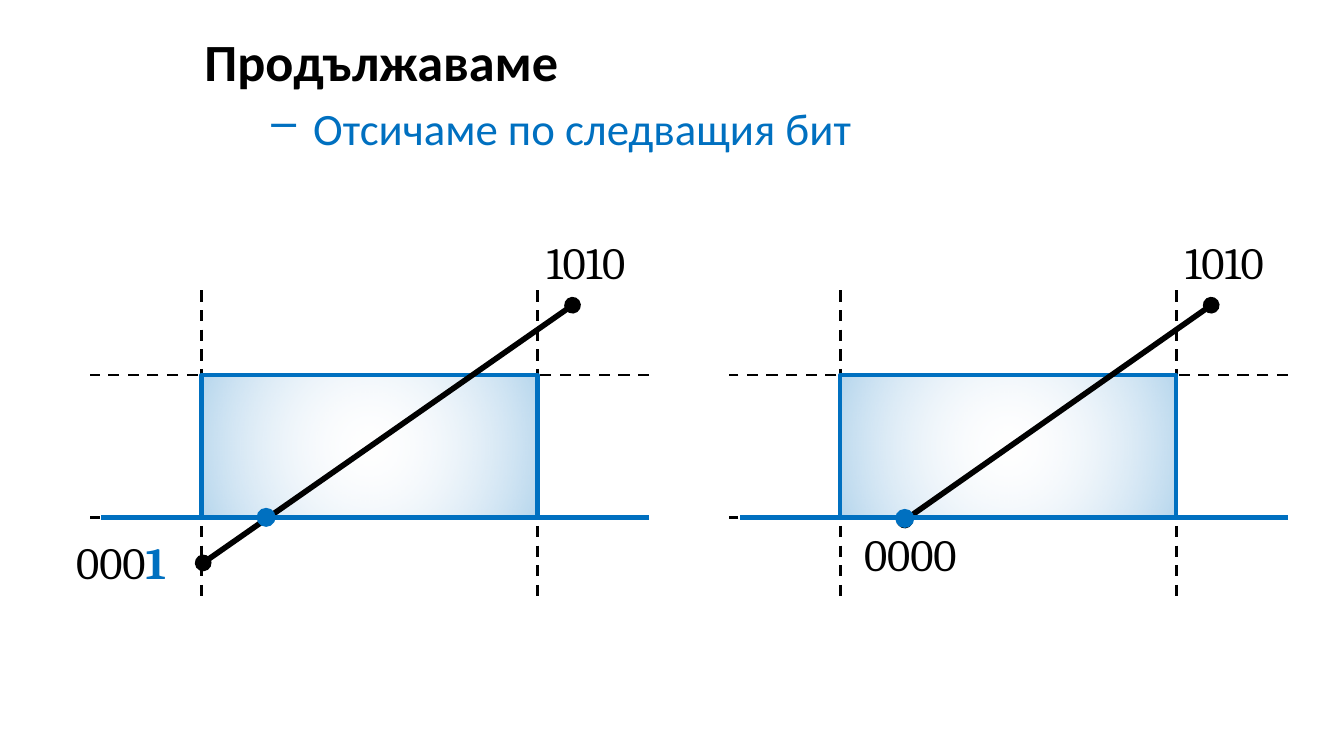
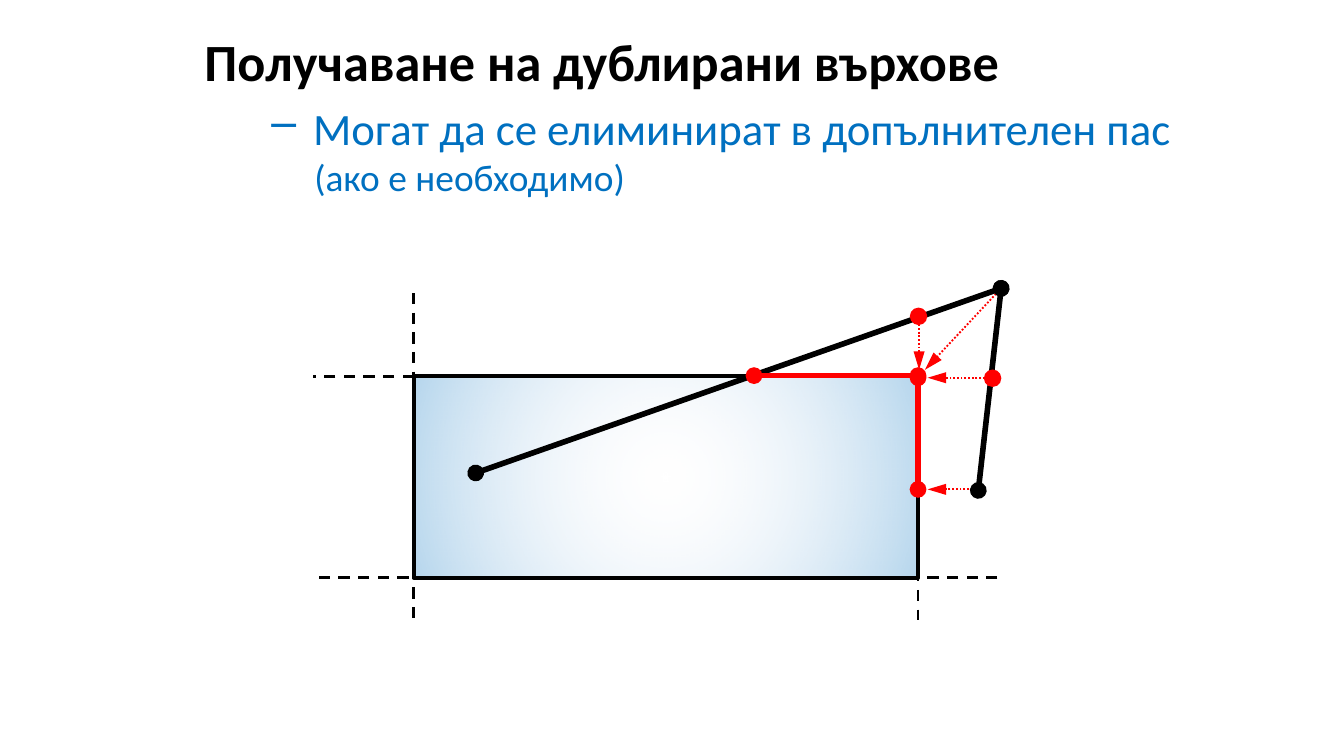
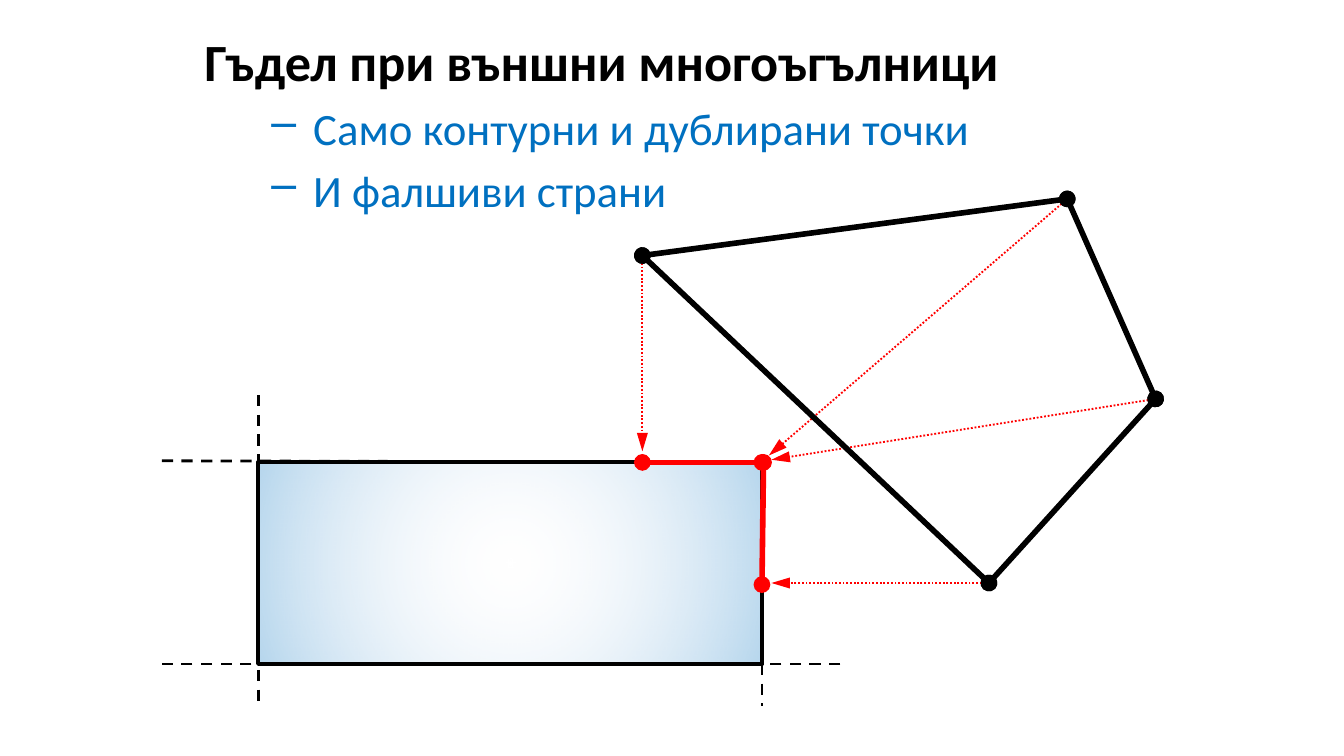
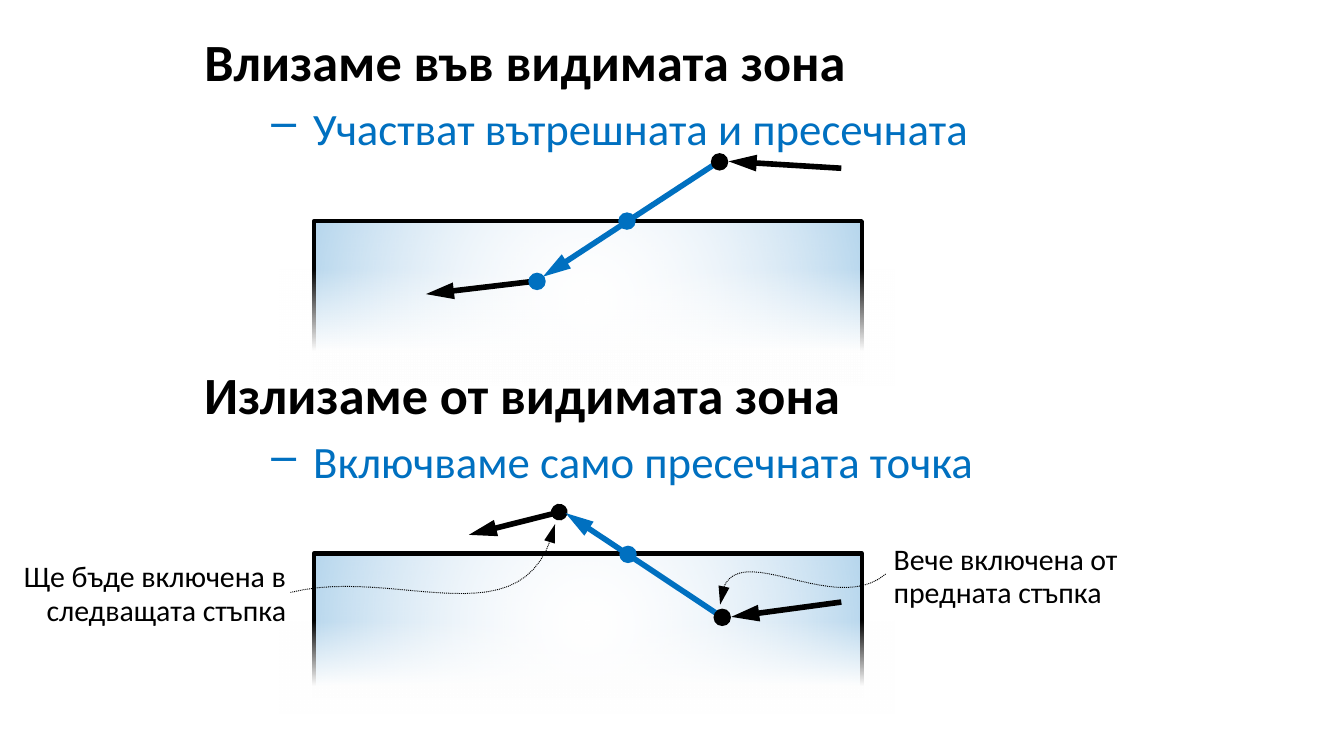
import itertools

import pptx
import pptx.dml.color
import pptx.enum.dml
import pptx.enum.shapes
import pptx.enum.text
import pptx.oxml
import pptx.oxml.ns
import pptx.util

Cm = pptx.util.Cm
Pt = pptx.util.Pt
RGB = pptx.dml.color.RGBColor
Dash = pptx.enum.dml.MSO_LINE
Shape = pptx.enum.shapes.MSO_SHAPE
Align = pptx.enum.text.PP_ALIGN

BLACK = RGB(0x00, 0x00, 0x00)
BLUE = RGB(0x00, 0x70, 0xC0)
RED = RGB(0xFF, 0x00, 0x00)
WHITE = RGB(0xFF, 0xFF, 0xFF)
PALE = RGB(0xE1, 0xE8, 0xF5)

BODY, DIGITS = "Calibri", "Cambria"
LEFT, TOP, WIDE = 3.61, 0.43, 21.79
DROP = 1.34  # from the top of a heading to the top of its bullets
STEP = 12.07  # between the two scenes of the first slide
GLOW = [(0, PALE, 0), (100, BLUE, 29)]
FADE = [(25, WHITE, 100), (85, WHITE, 0)]
ROUND = '<a:path path="circle"><a:fillToRect l="50000" t="50000" r="50000" b="50000"/></a:path>'
PLAIN = '<a:lin ang="0" scaled="0"/>'


def node(tag, inner="", **attrs):
    words = "".join(f' {key}="{val}"' for key, val in attrs.items())
    names = pptx.oxml.ns.nsdecls("a")
    return pptx.oxml.parse_xml(f"<a:{tag} {names}{words}>{inner}</a:{tag}>")


def write(frame, words, font=BODY, size=24, color=BLACK, bold=False, align=None,
          mark=None, indent=0, hang=0, gap=0, pitch=None, join=False):
    """Write one paragraph, or with join add a run to the last one."""
    par = frame.paragraphs[-1]
    if not join:
        if par.runs:
            par = frame.add_paragraph()
        props = par._p.get_or_add_pPr()
        props.set("marL", str(Cm(indent)))
        props.set("indent", str(-Cm(hang)))
        if mark:
            props.append(node("buChar", char=mark))
        par.alignment = align
        par.space_before = Pt(gap)
        if pitch:
            par.line_spacing = Pt(pitch)
    run = par.add_run()
    run.text = words
    run.font.name = font
    run.font.size = Pt(size)
    run.font.bold = bold
    run.font.color.rgb = color


def area(slide, left, top, wide, high, wrap=True):
    frame = slide.shapes.add_textbox(Cm(left), Cm(top), Cm(wide), Cm(high)).text_frame
    frame.word_wrap = wrap
    return frame


def label(slide, left, top, words):
    frame = area(slide, left, top, 2.41, 1.27, wrap=False)
    write(frame, words, font=DIGITS)
    return frame


def note(slide, left, top, words, align=None):
    write(area(slide, left, top, 5.46, 1.57), words, size=16, pitch=18, align=align)


def points(slide, items, top=TOP):
    """Write the dashed list that belongs to a heading at top."""
    frame = area(slide, LEFT, top + DROP, WIDE, 1.2 * len(items))
    for num, words in enumerate(items):
        write(frame, words, color=BLUE, mark="–", indent=2.06, hang=0.79,
              gap=4.5 if num else 0)
    return frame


def start(deck, words):
    slide = deck.slides.add_slide(deck.slide_layouts[5])
    title = slide.shapes.title
    title.left, title.top, title.width, title.height = Cm(LEFT), Cm(TOP), Cm(WIDE), Cm(DROP)
    frame = title.text_frame
    frame.vertical_anchor = pptx.enum.text.MSO_ANCHOR.TOP
    frame.auto_size = pptx.enum.text.MSO_AUTO_SIZE.NONE
    frame.word_wrap = True
    write(frame, words, size=28, bold=True, align=Align.LEFT)
    return slide


def stroke(item, color, width, dash=None, head=None, tail=None):
    item.line.color.rgb = color
    item.line.width = Pt(width)
    if dash:
        item.line.dash_style = dash
    line = item.element.spPr.find(pptx.oxml.ns.qn("a:ln"))
    for tag, kind in (("headEnd", head), ("tailEnd", tail)):
        if kind:
            size = "lg" if kind == "triangle" else "med"
            line.append(node(tag, type=kind, w="med", len=size))


def link(slide, begin, end, color=BLACK, width=3, **ends):
    straight = pptx.enum.shapes.MSO_CONNECTOR.STRAIGHT
    item = slide.shapes.add_connector(straight, *map(Cm, begin + end))
    stroke(item, color, width, **ends)
    item.element.spPr.append(node("effectLst"))


def guide(slide, begin, end):
    link(slide, begin, end, width=1.5, dash=Dash.DASH)


def side(slide, begin, end, color=BLACK):
    link(slide, begin, end, color, head="oval", tail="oval")


def pull(slide, begin, end):
    """Draw the dotted arrow from a vertex to its place on the window."""
    link(slide, begin, end, RED, 1, dash=Dash.ROUND_DOT, tail="triangle")


def arrow(slide, begin, end, color=BLACK, head=None):
    link(slide, begin, end, color, head=head, tail="triangle")


def dot(slide, spot, color, size=0.33):
    left, top = (val - size / 2 for val in spot)
    item = slide.shapes.add_shape(Shape.OVAL, Cm(left), Cm(top), Cm(size), Cm(size))
    item.shadow.inherit = False
    item.fill.solid()
    item.fill.fore_color.rgb = color
    item.line.fill.background()


def box(slide, left, top, wide, high, stops=GLOW, shade=ROUND, color=BLACK, turn=False):
    """Draw a gradient rectangle; with turn it stands on its side, rotated by 270."""
    if turn:
        left, top = left + (wide - high) / 2, top + (high - wide) / 2
        wide, high = high, wide
    item = slide.shapes.add_shape(Shape.RECTANGLE, Cm(left), Cm(top), Cm(wide), Cm(high))
    item.rotation = 270 if turn else 0
    item.shadow.inherit = False
    item.fill.background()
    marks = "".join(
        f'<a:gs pos="{pos * 1000}"><a:srgbClr val="{tone}">'
        f'<a:alpha val="{alpha * 1000}"/></a:srgbClr></a:gs>'
        for pos, tone, alpha in stops)
    props = item.element.spPr
    blank = props.find(pptx.oxml.ns.qn("a:noFill"))
    props.replace(blank, node("gradFill", f"<a:gsLst>{marks}</a:gsLst>{shade}", rotWithShape=1))
    if color is None:
        item.line.fill.background()
    else:
        stroke(item, color, 2.25)


def curve(slide, *knots, steps=24):
    """Draw a dotted arrow along the cubic curve of four knots."""
    trail = []
    for num in range(steps + 1):
        t = num / steps
        parts = ((1 - t) ** 3, 3 * t * (1 - t) ** 2, 3 * t * t * (1 - t), t ** 3)
        trail.append(tuple(Cm(sum(p * k[axis] for p, k in zip(parts, knots)))
                           for axis in (0, 1)))
    pen = slide.shapes.build_freeform(*trail[0])
    pen.add_line_segments(trail[1:], close=False)
    item = pen.convert_to_shape()
    item.shadow.inherit = False
    item.fill.background()
    stroke(item, BLACK, 0.5, dash=Dash.ROUND_DOT, tail="triangle")


def scene(slide, shift, low, cut):
    """Draw window and segment from the outer end to low; cut is the crossing."""
    def at(x, y):
        return x + shift, y

    for x in (3.81, 10.16):
        guide(slide, at(x, 5.49), at(x, 11.38))
    for y in (9.78, 7.09):
        guide(slide, at(12.27, y), at(1.7, y))
    box(slide, *at(3.81, 7.09), 6.35, 2.69, color=BLUE)
    side(slide, at(10.82, 5.77), at(*low))
    link(slide, at(12.27, 9.78), at(1.91, 9.78), BLUE)
    label(slide, *at(10.08, 4.32), "1010")
    dot(slide, at(*cut), BLUE, 0.36)


def clip(deck):
    slide = start(deck, "Продължаваме")
    points(slide, ["Отсичаме по следващия бит"])
    scene(slide, 0, low=(3.84, 10.64), cut=(5.03, 9.78))
    scene(slide, STEP, low=(5.03, 9.83), cut=(5.03, 9.8))
    code = label(slide, 1.19, 9.98, "000")
    write(code, "1", font=DIGITS, color=BLUE, bold=True, join=True)
    label(slide, 4.01 + STEP, 9.83, "0000")


def double(deck):
    slide = start(deck, "Получаване на дублирани върхове")
    frame = points(slide, ["Могат да се елиминират в допълнителен пас"])
    write(frame, "(ако е необходимо)", size=20, color=BLUE, indent=2.08)
    guide(slide, (7.82, 5.54), (7.82, 11.71))
    guide(slide, (17.35, 7.44), (17.35, 11.71))
    pull(slide, (18.52, 9.25), (17.53, 9.25))
    box(slide, 7.82, 7.11, 9.53, 3.81)
    peak = (18.92, 5.45)
    side(slide, peak, (8.99, 8.94))
    pull(slide, peak, (17.48, 6.99))
    side(slide, (18.49, 9.27), peak)
    side(slide, (17.35, 7.1), (14.25, 7.1), RED)
    side(slide, (17.35, 9.25), (17.35, 7.14), RED)
    pull(slide, (17.37, 5.99), (17.37, 6.99))
    pull(slide, (18.75, 7.14), (17.53, 7.14))
    guide(slide, (18.85, 10.92), (5.92, 10.92))
    guide(slide, (7.82, 7.11), (5.92, 7.11))
    for spot in ((18.76, 7.15), (17.36, 5.98)):
        dot(slide, spot, RED)


def outer(deck):
    slide = start(deck, "Гъдел при външни многоъгълници")
    points(slide, ["Само контурни и дублирани точки", "И фалшиви страни"])
    guide(slide, (4.88, 7.47), (4.88, 13.34))
    guide(slide, (14.4, 12.55), (14.4, 13.34))
    guide(slide, (15.88, 12.55), (2.97, 12.55))
    guide(slide, (14.4, 8.74), (2.97, 8.71))
    box(slide, 4.88, 8.74, 9.53, 3.81)
    west, north, east, south = (12.14, 4.83), (20.17, 3.76), (21.84, 7.54), (18.69, 11.02)
    side(slide, (14.4, 8.74), (12.14, 8.74), RED)
    for begin, end in ((west, (12.14, 8.53)), (north, (14.53, 8.61)),
                       (east, (14.58, 8.69)), (south, (14.58, 11.02))):
        pull(slide, begin, end)
    side(slide, (14.4, 11.05), (14.43, 8.74), RED)
    for begin, end in itertools.pairwise((west, north, east, south, west)):
        side(slide, begin, end)


def cross(deck):
    slide = start(deck, "Влизаме във видимата зона")
    points(slide, ["Участват вътрешната и пресечната"])
    second = 6.73
    write(area(slide, LEFT, second, WIDE, DROP), "Излизаме от видимата зона",
          size=28, bold=True)
    points(slide, ["Включваме само пресечната точка"], second)

    for top, high, veil, deep in ((4.18, 3.02, 4.7, 2.59), (10.46, 2.69, 11.42, 2.06)):
        box(slide, 5.93, top, 10.36, high, turn=True)
        box(slide, 5.28, veil, 11.63, deep, FADE, PLAIN, color=None, turn=True)

    arrow(slide, (15.9, 3.18), (13.77, 3.05))
    arrow(slide, (10.16, 5.31), (8.05, 5.56))
    arrow(slide, (13.59, 3.05), (10.26, 5.23), BLUE)
    arrow(slide, (15.9, 11.38), (13.82, 11.66))
    arrow(slide, (10.57, 9.68), (8.86, 10.11), head="oval")
    arrow(slide, (13.67, 11.68), (10.69, 9.7), BLUE)
    for spot in ((10.15, 5.32), (11.85, 4.18), (11.87, 10.48)):
        dot(slide, spot, BLUE)
    for spot in ((13.6, 3.06), (13.65, 11.67)):
        dot(slide, spot, BLACK)

    note(slide, 16.64, 10.13, "Вече включена от предната стъпка")
    curve(slide, (16.74, 10.85), (15.7, 11.73), (13.69, 9.93), (13.61, 11.43))
    note(slide, 0.2, 10.46, "Ще бъде включена в следващата стъпка", Align.RIGHT)
    curve(slide, (5.49, 11.2), (7.52, 10.69), (9.98, 12.19), (10.49, 9.91))


def main():
    deck = pptx.Presentation()
    deck.slide_width, deck.slide_height = Cm(25.4), Cm(14.29)
    for build in (clip, double, outer, cross):
        build(deck)
    deck.save("out.pptx")


if __name__ == "__main__":
    main()
